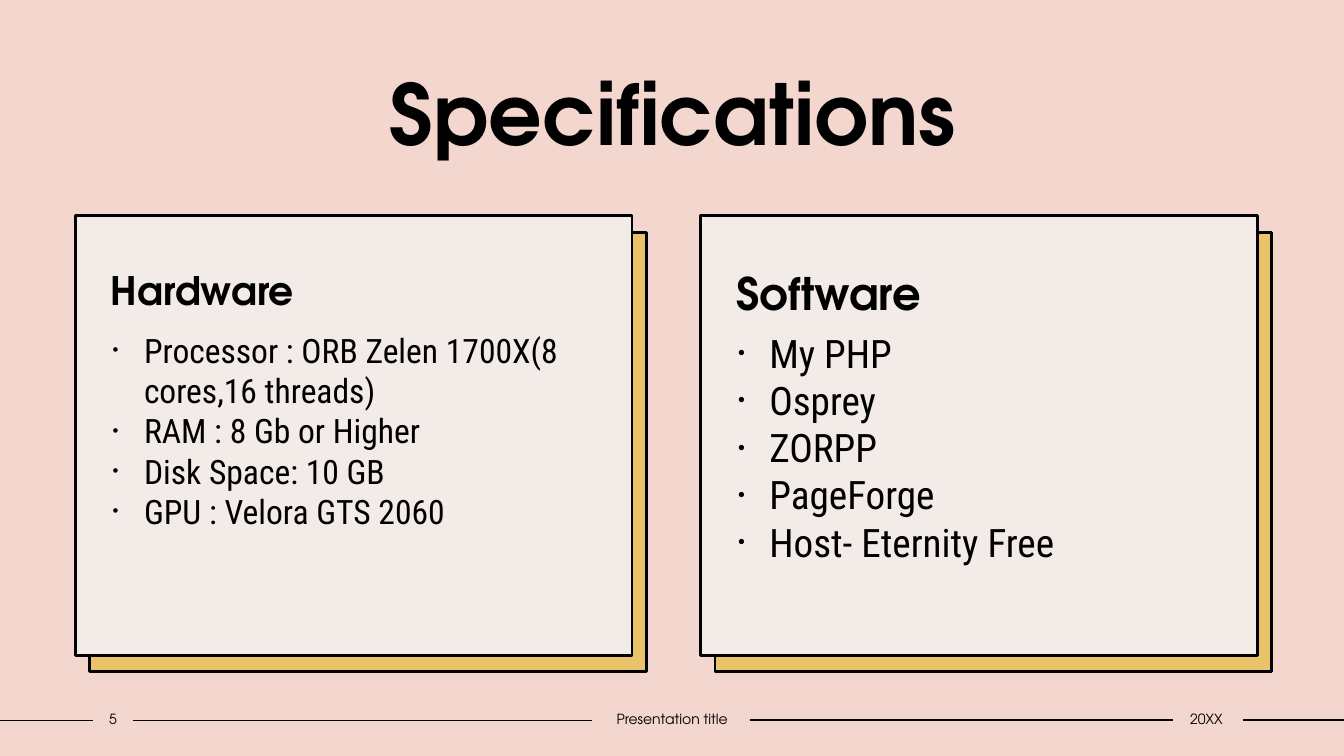
"""Build the hardware and software specifications slide."""
import pptx
import pptx.dml.color
import pptx.enum.shapes
import pptx.enum.text
import pptx.util
from lxml import etree
from pptx.dml.color import RGBColor
from pptx.util import Cm, Pt

TITLE = "Specifications"
PANELS = [
    {"heading": "Hardware", "heading_size": 28, "item_size": 24, "items": [
        "Processor : ORB Zelen 1700X(8 cores,16 threads)",
        "RAM : 8 Gb or Higher",
        "Disk Space: 10 GB",
        "GPU : Velora GTS 2060",
    ]},
    {"heading": "Software", "heading_size": 32, "item_size": 28, "items": [
        "My PHP",
        "Osprey",
        "ZORPP",
        "PageForge",
        "Host- Eternity Free",
    ]},
]
FOOTER = [("5", 2.34, 1.02), ("Presentation title", 14.91, 4.06), ("20XX", 29.51, 1.78)]
RULES = [(0, 2.34, 18.16), (3.35, 14.91, 18.16), (18.9, 29.57, 18.14), (31.32, 33.87, 18.14)]

HEADING_FONT = "TeX Gyre Adventor"
BODY_FONT = "Roboto Condensed"
BLACK = RGBColor(0x00, 0x00, 0x00)
PINK = RGBColor(0xF3, 0xD6, 0xCD)
CREAM = RGBColor(0xF3, 0xEB, 0xE8)
GOLD = RGBColor(0xE9, 0xC3, 0x69)

PANEL_LEFT, PANEL_TOP, PANEL_STEP = 1.9, 5.44, 15.76
PANEL_WIDTH, PANEL_HEIGHT = 14.03, 11.07
BACKING_SHIFT = 0.36, 0.41
LIST_SHIFT = 0.69, 2.74
LIST_WIDTH, LIST_HEIGHT = 12.8, 7.75
BULLET_INDENT = 0.79

ALIGN = pptx.enum.text.PP_ALIGN
MIDDLE = pptx.enum.text.MSO_ANCHOR.MIDDLE
TOP = pptx.enum.text.MSO_ANCHOR.TOP


def style(paragraph, font_name, size, bold=False, alignment=ALIGN.LEFT):
    paragraph.alignment = alignment
    paragraph.font.name = font_name
    paragraph.font.size = Pt(size)
    paragraph.font.bold = bold
    paragraph.font.color.rgb = BLACK


def set_margins(frame, left, top, right, bottom):
    frame.margin_left, frame.margin_top = Cm(left), Cm(top)
    frame.margin_right, frame.margin_bottom = Cm(right), Cm(bottom)


def add_rectangle(slide, left, top, color):
    shape = slide.shapes.add_shape(
        pptx.enum.shapes.MSO_SHAPE.RECTANGLE,
        Cm(left), Cm(top), Cm(PANEL_WIDTH), Cm(PANEL_HEIGHT))
    shape.shadow.inherit = False
    shape.fill.solid()
    shape.fill.fore_color.rgb = color
    shape.line.color.rgb = BLACK
    shape.line.width = Pt(2)
    return shape


def add_text_box(slide, left, top, width, height):
    box = slide.shapes.add_textbox(Cm(left), Cm(top), Cm(width), Cm(height))
    box.text_frame.word_wrap = True
    return box.text_frame


def add_bullet(paragraph):
    properties = paragraph._p.get_or_add_pPr()
    properties.set("marL", str(Cm(BULLET_INDENT)))
    properties.set("indent", str(-Cm(BULLET_INDENT)))
    for tag, name, value in [("buSzPct", "val", "50000"),
                             ("buFont", "typeface", "Arial"),
                             ("buChar", "char", "•")]:
        etree.SubElement(properties, pptx.oxml.ns.qn("a:" + tag)).set(name, value)


def add_panel(slide, left, panel):
    add_rectangle(slide, left + BACKING_SHIFT[0], PANEL_TOP + BACKING_SHIFT[1], GOLD)
    frame = add_rectangle(slide, left, PANEL_TOP, CREAM).text_frame
    frame.word_wrap = True
    frame.vertical_anchor = TOP
    set_margins(frame, 0.89, 1.4, 0.25, 0.13)
    heading = frame.paragraphs[0]
    heading.text = panel["heading"]
    heading.line_spacing = 0.9
    heading.space_before = Pt(10)
    style(heading, HEADING_FONT, panel["heading_size"], bold=True)

    frame = add_text_box(slide, left + LIST_SHIFT[0], PANEL_TOP + LIST_SHIFT[1],
                         LIST_WIDTH, LIST_HEIGHT)
    frame.text = "\n".join(panel["items"])
    for paragraph in frame.paragraphs:
        style(paragraph, BODY_FONT, panel["item_size"])
        add_bullet(paragraph)


def add_rule(slide, start, end, height):
    rule = slide.shapes.add_connector(
        pptx.enum.shapes.MSO_CONNECTOR.STRAIGHT,
        Cm(start), Cm(height), Cm(end), Cm(height))
    rule.line.color.rgb = BLACK
    rule.line.width = Pt(1)
    etree.SubElement(rule._element.spPr, pptx.oxml.ns.qn("a:effectLst"))


def add_title(slide):
    title = slide.shapes.title
    title.left, title.top = Cm(3.18), Cm(1.42)
    title.width, title.height = Cm(27.53), Cm(2.82)
    title.text_frame.text = TITLE
    title.text_frame.vertical_anchor = MIDDLE
    style(title.text_frame.paragraphs[0], HEADING_FONT, 60, True, ALIGN.CENTER)


def main():
    presentation = pptx.Presentation()
    presentation.slide_width, presentation.slide_height = Cm(33.87), Cm(19.05)
    slide = presentation.slides.add_slide(presentation.slide_layouts[5])
    slide.background.fill.solid()
    slide.background.fill.fore_color.rgb = PINK

    add_title(slide)
    for rule in RULES:
        add_rule(slide, *rule)
    for index, panel in enumerate(PANELS):
        add_panel(slide, PANEL_LEFT + index * PANEL_STEP, panel)
    for text, left, width in FOOTER:
        frame = add_text_box(slide, left, 17.78, width, 0.69)
        frame.vertical_anchor = MIDDLE
        set_margins(frame, 0, 0.13, 0, 0.13)
        frame.text = text
        style(frame.paragraphs[0], HEADING_FONT, 10, alignment=ALIGN.CENTER)

    presentation.save("out.pptx")


if __name__ == "__main__":
    main()
